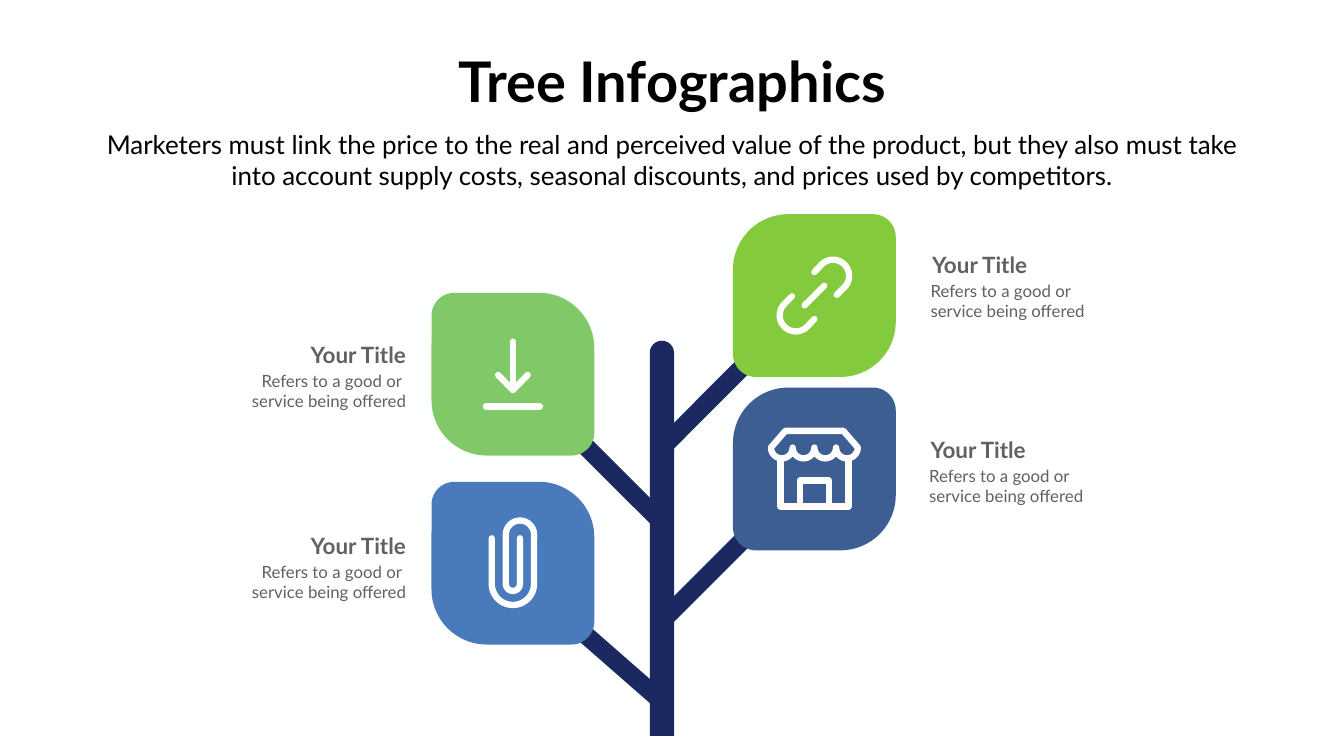
"""Build the tree infographic slide with four leaves and their labels."""
from math import cos, radians, sin

from lxml import etree
from pptx import Presentation
from pptx.dml.color import RGBColor
from pptx.enum.shapes import MSO_CONNECTOR, MSO_SHAPE
from pptx.enum.text import MSO_ANCHOR, MSO_AUTO_SIZE, PP_ALIGN
from pptx.oxml.ns import qn
from pptx.util import Pt

STRAIGHT = MSO_CONNECTOR.STRAIGHT
TRUNK, LEAF = MSO_SHAPE.ROUND_2_SAME_RECTANGLE, MSO_SHAPE.ROUND_2_DIAG_RECTANGLE
LEFT, CENTER, RIGHT = PP_ALIGN.LEFT, PP_ALIGN.CENTER, PP_ALIGN.RIGHT

COLORS = {
    "background": "FEFFFF", "wood": "1B2960", "icon": "FFFFFF",
    "lime": "83CA3C", "navy": "3C5E92", "green": "81C868", "blue": "497ABB",
    "heading": "000000", "label": "616161",
}
FONT = "Lato"
LEAF_SIZE = 232.5
RIGHT_X, LEFT_X = 1046.9, 616.3
LARGE_CORNER, SMALL_CORNER = 0.34, 0.14
LABEL_WIDTH = 236.9
DETAIL = ("Refers to a good or ", "service being offered")
SUBTITLE = (
    "Marketers must link the price to the real and perceived value of the product, "
    "but they also must take into account supply costs, seasonal discounts, "
    "and prices used by competitors."
)


def color(name):
    return RGBColor.from_string(COLORS[name])


def arc(x, y, radius, start, end):
    """Return points along an arc, with angles in degrees clockwise."""
    angles = [radians(start + (end - start) * i / 24) for i in range(25)]
    return [(x + radius * cos(a), y + radius * sin(a)) for a in angles]


def link_icon():
    hook = [(-32, 1), *arc(-26.6, 28.2, 23, 225, 45), (0, 33.5)]
    return [hook, [(-x, -y) for x, y in hook], [(-14, 14), (14, -14)]]


def shop_icon():
    scallops = [point for x in (46.5, 15.5, -15.5, -46.5)
                for point in arc(x, -30.6, 15.5, 0, 180)]
    awning = [(-62, -30.6), (-41.4, -54.4), (41.4, -54.4), (62, -30.6), *scallops]
    walls = [(-48.6, -14), (-48.6, 53.6), (48.6, 53.6), (48.6, -14)]
    door = [(-20.9, 53.6), (-20.9, 16.6), (20.9, 16.6), (20.9, 53.6)]
    return [awning, walls, door]


def download_icon():
    return [
        [(0, -46.4), (0, 22.7)],
        [(-21.2, 1.1), (0, 22.7), (21.2, 1.1)],
        [(-38.5, 46.4), (38.5, 46.4)],
    ]


def clip_icon():
    return [[(-30.2, -35.6), *arc(0, 29.5, 30.2, 180, 0), *arc(10.1, -40.7, 20.2, 0, -180),
             *arc(0, 29.5, 10.1, 180, 0), (10.1, -35.6)]]


def add_stroke(page, points, width, tone):
    """Draw a round-capped stroke through the points."""
    points = [(Pt(x), Pt(y)) for x, y in points]
    if len(points) == 2:
        stroke = page.shapes.add_connector(STRAIGHT, *points[0], *points[1])
        etree.SubElement(stroke.line._get_or_add_ln().getparent(), qn("a:effectLst"))
    else:
        builder = page.shapes.build_freeform(*points[0])
        builder.add_line_segments(points[1:], close=False)
        stroke = builder.convert_to_shape()
        stroke.shadow.inherit = False
        stroke.fill.background()
    stroke.line.width = Pt(width)
    stroke.line.color.rgb = color(tone)
    outline = stroke.get_or_add_ln()
    outline.set("cap", "rnd")
    etree.SubElement(outline, qn("a:round"))


def add_block(page, kind, bounds, tone, corners):
    """Add a filled shape with the given corner adjustments."""
    block = page.shapes.add_shape(kind, *map(Pt, bounds))
    block.shadow.inherit = False
    block.fill.solid()
    block.fill.fore_color.rgb = color(tone)
    block.line.fill.background()
    for index, corner in enumerate(corners):
        block.adjustments[index] = corner


def add_leaf(page, left, top, tone, icon):
    """Add a leaf with its icon at the centre."""
    corners = (LARGE_CORNER, SMALL_CORNER)
    if left == LEFT_X:
        corners = corners[::-1]
    add_block(page, LEAF, (left, top, LEAF_SIZE, LEAF_SIZE), tone, corners)
    center_x, center_y = left + LEAF_SIZE / 2, top + LEAF_SIZE / 2
    for points in icon:
        add_stroke(page, [(center_x + x, center_y + y) for x, y in points], 9, "icon")


def write_text(box, bounds, lines, size, tone, align, bold=False, wrap=True):
    """Place a text shape and fill it with evenly formatted paragraphs."""
    box.left, box.top, box.width, box.height = map(Pt, bounds)
    frame = box.text_frame
    frame.word_wrap = wrap
    frame.auto_size = MSO_AUTO_SIZE.NONE
    frame.vertical_anchor = MSO_ANCHOR.TOP
    frame.text = "\n".join(lines)
    for para in frame.paragraphs:
        para.alignment = align
        para.font.name = FONT
        para.font.size = Pt(size)
        para.font.bold = bold
        para.font.color.rgb = color(tone)


def add_text(page, bounds, *style, **options):
    box = page.shapes.add_textbox(*map(Pt, bounds))
    write_text(box, bounds, *style, **options)


def add_label(page, left, top, align):
    """Add a leaf's title with its two-line detail below."""
    title_left = left + 2 if align == LEFT else left
    add_text(page, (title_left, top, LABEL_WIDTH, 46), ["Your Title"], 32, "label",
             align, bold=True)
    add_text(page, (left, top + 42, LABEL_WIDTH, 64), DETAIL, 24, "label", align)


def main():
    deck = Presentation()
    deck.slide_width, deck.slide_height = Pt(1919.5), Pt(1080)
    page = deck.slides.add_slide(deck.slide_layouts[5])
    page.background.fill.solid()
    page.background.fill.fore_color.rgb = color("background")

    write_text(page.shapes.title, (640, 63.4, 640, 104.4), ["Tree Infographics"], 80,
               "heading", CENTER, bold=True, wrap=False)
    add_text(page, (132.5, 180.7, 1654.5, 97.2), [SUBTITLE], 37, "heading", CENTER)

    leaves = [
        (RIGHT_X, 306, "lime", link_icon(), 640, 1322, 355.7),
        (RIGHT_X, 553.7, "navy", shop_icon(), 887.7, 1320, 619.2),
        (LEFT_X, 418.3, "green", download_icon(), 746, 349.9, 483.8),
        (LEFT_X, 688.3, "blue", clip_icon(), 1002, 349.9, 756.7),
    ]
    add_block(page, TRUNK, (928, 486.7, 34.6, 564.5), "wood", (0.5, 0))
    for left, top, tone, icon, joint_y, label_left, label_top in leaves:
        on_right = left == RIGHT_X
        tip_x = left + 20 if on_right else left + LEAF_SIZE - 20
        add_stroke(page, [(945, joint_y), (tip_x, top + 212)], 26, "wood")
        add_leaf(page, left, top, tone, icon)
        add_label(page, label_left, label_top, LEFT if on_right else RIGHT)

    deck.save("out.pptx")


if __name__ == "__main__":
    main()
